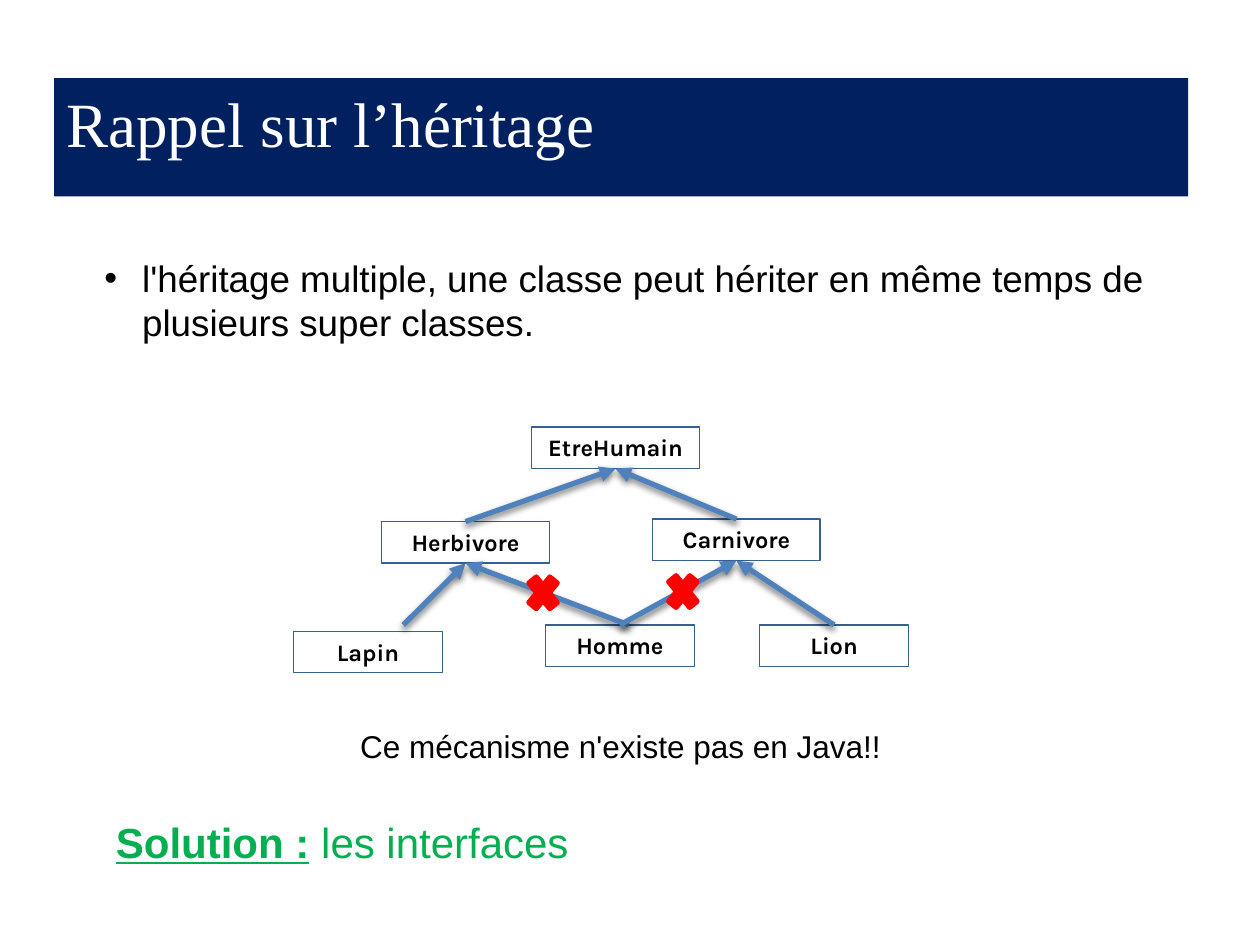
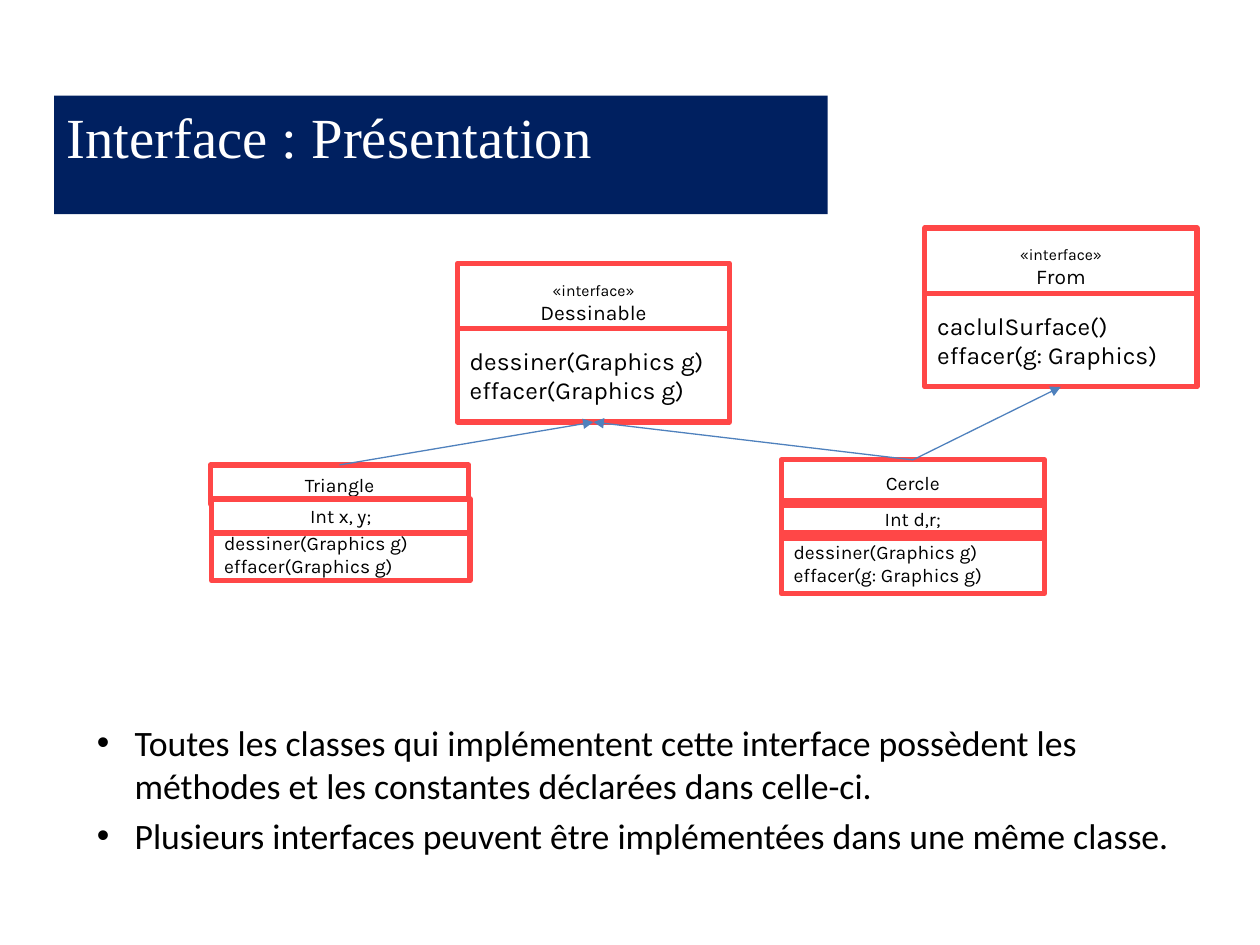
from dataclasses import dataclass

from lxml import etree
from pptx import Presentation
from pptx.dml.color import RGBColor
from pptx.enum.shapes import MSO_CONNECTOR, MSO_SHAPE
from pptx.enum.text import MSO_ANCHOR, PP_ALIGN
from pptx.oxml.ns import qn
from pptx.util import Inches, Pt

RECTANGLE, CROSS = MSO_SHAPE.RECTANGLE, MSO_SHAPE.MATH_MULTIPLY
STRAIGHT = MSO_CONNECTOR.STRAIGHT
LEFT, CENTER = PP_ALIGN.LEFT, PP_ALIGN.CENTER
TOP, MIDDLE = MSO_ANCHOR.TOP, MSO_ANCHOR.MIDDLE


@dataclass(frozen=True)
class Theme:
    """Colours, fonts, type sizes and line widths of the presentation."""
    navy: str = "002060"
    white: str = "FFFFFF"
    black: str = "000000"
    node_line: str = "376092"
    arrow: str = "4F81BD"
    red: str = "FF0000"
    class_line: str = "FF4747"
    green: str = "00B050"
    title_font: str = "Times New Roman"
    text_font: str = "Arial"
    list_font: str = "Calibri"
    diagram_font: str = "Karla"
    node_size: float = 13.5
    caption_size: float = 18
    solution_size: float = 24
    stereotype_size: float = 9
    interface_size: float = 12
    method_size: float = 14
    class_size: float = 11
    thin: float = 0.75
    thick: float = 3


THEME = Theme()

# Boxes are (left, top, width, height) in inches.
INHERITANCE = {
    "title": ("Rappel sur l’héritage", (0.43, 0.62, 9, 0.94), 36),
    "bullets": ["l'héritage multiple, une classe peut hériter en même temps de "
                "plusieurs super classes."],
    "caption": " Ce mécanisme n'existe pas en Java!! ",
    "solution": ("Solution :", " ", "les interfaces"),
}
NODE_HEIGHT = 0.33
NODES = {  # name: (left, top, width)
    "EtreHumain": (4.22, 3.39, 1.33),
    "Herbivore": (3.03, 4.14, 1.33),
    "Carnivore": (5.18, 4.12, 1.33),
    "Lapin": (2.33, 5.01, 1.18),
    "Lion": (6.03, 4.96, 1.18),
    "Homme": (4.33, 4.96, 1.18),
}
INHERITS = [  # child, parent, shift of the start from the child's top centre
    ("Herbivore", "EtreHumain", (0, 0)),
    ("Lapin", "Herbivore", (0.28, -0.05)),
    ("Carnivore", "EtreHumain", (0, 0)),
    ("Lion", "Carnivore", (0, 0)),
    ("Homme", "Herbivore", (0.07, 0)),
    ("Homme", "Carnivore", (0, 0)),
]
CROSSES = [(5.26, 4.5), (4.15, 4.51)]
CROSS_SIZE = (0.32, 0.39)

INTERFACES = {
    "title": ("Interface : Présentation", (0.43, 0.76, 6.14, 0.94), 32.4),
    "bullets": ["Toutes les classes qui implémentent cette interface possèdent "
                "les méthodes et les constantes déclarées dans celle-ci.",
                "Plusieurs interfaces peuvent être implémentées dans une même "
                "classe."],
}
INTERFACE_BOXES = {  # name: (left, top, methods)
    "Dessinable": (3.63, 2.09, ["dessiner(Graphics g)", "effacer(Graphics g)"]),
    "From": (7.34, 1.81, ["caclulSurface()", "effacer(g: Graphics)"]),
}
INTERFACE_WIDTH, NAME_HEIGHT, METHODS_OFFSET, METHODS_HEIGHT = 2.16, 0.62, 0.52, 0.74
CLASS_BOXES = {  # name: compartments back to front (text lines, box, alignment, fill)
    "Triangle": [
        (["Triangle"], (1.67, 3.69, 2.05, 0.31), CENTER, THEME.white),
        (["dessiner(Graphics g)", "effacer(Graphics g)"],
         (1.68, 4.19, 2.05, 0.42), LEFT, THEME.white),
        (["Int x, y;"], (1.68, 3.96, 2.05, 0.27), CENTER, THEME.white),
    ],
    "Cercle": [
        (["Cercle"], (6.2, 3.65, 2.09, 0.36), CENTER, THEME.white),
        (["dessiner(Graphics g)", "effacer(g: Graphics g)"],
         (6.2, 4.23, 2.09, 0.48), LEFT, THEME.white),
        (["Int d,r;"], (6.2, 3.97, 2.09, 0.3), CENTER, None),
    ],
}
IMPLEMENTS = [("Triangle", "Dessinable"), ("Cercle", "Dessinable"), ("Cercle", "From")]


def inches(values):
    """Turn numbers into lengths."""
    return [Inches(value) for value in values]


def add_run(paragraph, text, size, font, color=THEME.black, bold=False, underline=False):
    """Append one formatted run."""
    run = paragraph.add_run()
    run.text = text
    run.font.size = Pt(size)
    run.font.name = font
    run.font.bold = bold
    run.font.underline = underline
    run.font.color.rgb = RGBColor.from_string(color)


def next_paragraph(frame, index):
    """Return the first paragraph, or a new one after it."""
    return frame.paragraphs[0] if index == 0 else frame.add_paragraph()


def add_box(slide, box, fill=None, line=None, width=THEME.thin, kind=RECTANGLE):
    """Add a flat preset shape."""
    shape = slide.shapes.add_shape(kind, *inches(box))
    shape.shadow.inherit = False
    if fill:
        shape.fill.solid()
        shape.fill.fore_color.rgb = RGBColor.from_string(fill)
    else:
        shape.fill.background()
    if line:
        shape.line.color.rgb = RGBColor.from_string(line)
        shape.line.width = Pt(width)
    else:
        shape.line.fill.background()
    return shape


def write_lines(shape, lines, font, alignment=LEFT, anchor=TOP, color=THEME.black,
                bold=False):
    """Write (text, size) lines into a shape, one paragraph each."""
    frame = shape.text_frame
    frame.word_wrap = True
    frame.vertical_anchor = anchor
    for index, (text, size) in enumerate(lines):
        paragraph = next_paragraph(frame, index)
        paragraph.alignment = alignment
        add_run(paragraph, text, size, font, color, bold)


def add_title(slide, text, box, size):
    """Add the navy title band."""
    write_lines(add_box(slide, box, THEME.navy), [(text, size)], THEME.title_font,
                color=THEME.white)


def add_text(slide, box, wrap=True):
    """Add an empty text box and return its frame."""
    frame = slide.shapes.add_textbox(*inches(box)).text_frame
    frame.word_wrap = wrap
    return frame


def add_bullets(slide, items, box, size, font):
    """Add a bulleted list with a hanging indent."""
    frame = add_text(slide, box)
    for index, item in enumerate(items):
        paragraph = next_paragraph(frame, index)
        paragraph.space_before = Pt(0.2 * size)
        properties = paragraph._p.get_or_add_pPr()
        properties.set("marL", str(Inches(0.3)))
        properties.set("indent", str(Inches(-0.3)))
        etree.SubElement(properties, qn("a:buFont"), typeface="Arial")
        etree.SubElement(properties, qn("a:buChar"), char="•")
        add_run(paragraph, item, size, font)


def add_arrow(slide, start, end, width, shadow=False):
    """Add an arrow that points at its end, with or without a soft shadow."""
    connector = slide.shapes.add_connector(STRAIGHT, *inches((*start, *end)))
    connector.line.color.rgb = RGBColor.from_string(THEME.arrow)
    connector.line.width = Pt(width)
    etree.SubElement(connector.line._get_or_add_ln(), qn("a:tailEnd"), type="triangle")
    effects = etree.SubElement(connector._element.spPr, qn("a:effectLst"))
    if shadow:
        outer = etree.SubElement(effects, qn("a:outerShdw"), blurRad=str(Pt(4)),
                                 dist=str(Pt(2)), dir="5400000", rotWithShape="0")
        color = etree.SubElement(outer, qn("a:srgbClr"), val=THEME.black)
        etree.SubElement(color, qn("a:alpha"), val="55000")


def top_center(box):
    """Return the middle of a box's top edge."""
    left, top, width, _ = box
    return left + width / 2, top


def bottom_center(box):
    """Return the middle of a box's bottom edge."""
    left, top, width, height = box
    return left + width / 2, top + height


def build_inheritance(slide):
    """Draw the class tree with the forbidden double inheritance."""
    add_title(slide, *INHERITANCE["title"])
    add_bullets(slide, INHERITANCE["bullets"], (0.73, 1.98, 8.91, 2.32), 21,
                THEME.text_font)
    boxes = {name: (*place, NODE_HEIGHT) for name, place in NODES.items()}
    for name, box in boxes.items():
        write_lines(add_box(slide, box, line=THEME.node_line), [(name, THEME.node_size)],
                    THEME.diagram_font, CENTER, bold=True)
    for child, parent, (shift_x, shift_y) in INHERITS:
        x, y = top_center(boxes[child])
        add_arrow(slide, (x + shift_x, y + shift_y), bottom_center(boxes[parent]),
                  THEME.thick, shadow=True)
    for place in CROSSES:
        add_box(slide, (*place, *CROSS_SIZE), THEME.red, THEME.red, THEME.thick, CROSS)

    caption = add_text(slide, (2.69, 5.72, 4.51, 0.4), wrap=False)
    add_run(caption.paragraphs[0], INHERITANCE["caption"], THEME.caption_size,
            THEME.text_font)

    frame = add_text(slide, (0.47, 6.44, 7.35, 0.7))
    frame.margin_left = frame.margin_right = Inches(0.07)
    frame.margin_top = frame.margin_bottom = Inches(0.04)
    paragraph = frame.paragraphs[0]
    paragraph.space_before = Pt(0.2 * THEME.solution_size)
    paragraph._p.get_or_add_pPr().set("marL", str(Inches(0.38)))
    label, gap, answer = INHERITANCE["solution"]
    for text, bold, underline in ((label, True, True), (gap, True, False),
                                  (answer, False, False)):
        add_run(paragraph, text, THEME.solution_size, THEME.text_font, THEME.green,
                bold, underline)


def add_compartment(slide, box, lines, alignment, fill=THEME.white):
    """Add one red-framed compartment of a class box."""
    shape = add_box(slide, box, fill, THEME.class_line, THEME.thick)
    write_lines(shape, lines, THEME.diagram_font, alignment, MIDDLE)


def build_interfaces(slide):
    """Draw two interfaces and the classes that implement them."""
    add_title(slide, *INTERFACES["title"])
    add_bullets(slide, INTERFACES["bullets"], (0.67, 5.67, 9, 1.01), 20.4,
                THEME.list_font)
    starts, ends = {}, {}
    for name, (left, top, methods) in INTERFACE_BOXES.items():
        heading = [("«interface»", THEME.stereotype_size), (name, THEME.interface_size)]
        add_compartment(slide, (left, top, INTERFACE_WIDTH, NAME_HEIGHT), heading, CENTER)
        body = (left, top + METHODS_OFFSET, INTERFACE_WIDTH, METHODS_HEIGHT)
        add_compartment(slide, body, [(text, THEME.method_size) for text in methods], LEFT)
        ends[name] = bottom_center(body)
    for name, compartments in CLASS_BOXES.items():
        for texts, box, alignment, fill in compartments:
            add_compartment(slide, box, [(text, THEME.class_size) for text in texts],
                            alignment, fill)
        starts[name] = top_center(compartments[0][1])
    for child, interface in IMPLEMENTS:
        add_arrow(slide, starts[child], ends[interface], THEME.thin)


presentation = Presentation()
presentation.slide_width, presentation.slide_height = Inches(10), Inches(7.5)
blank = presentation.slide_layouts[6]
for build in (build_inheritance, build_interfaces):
    build(presentation.slides.add_slide(blank))
presentation.save("out.pptx")
